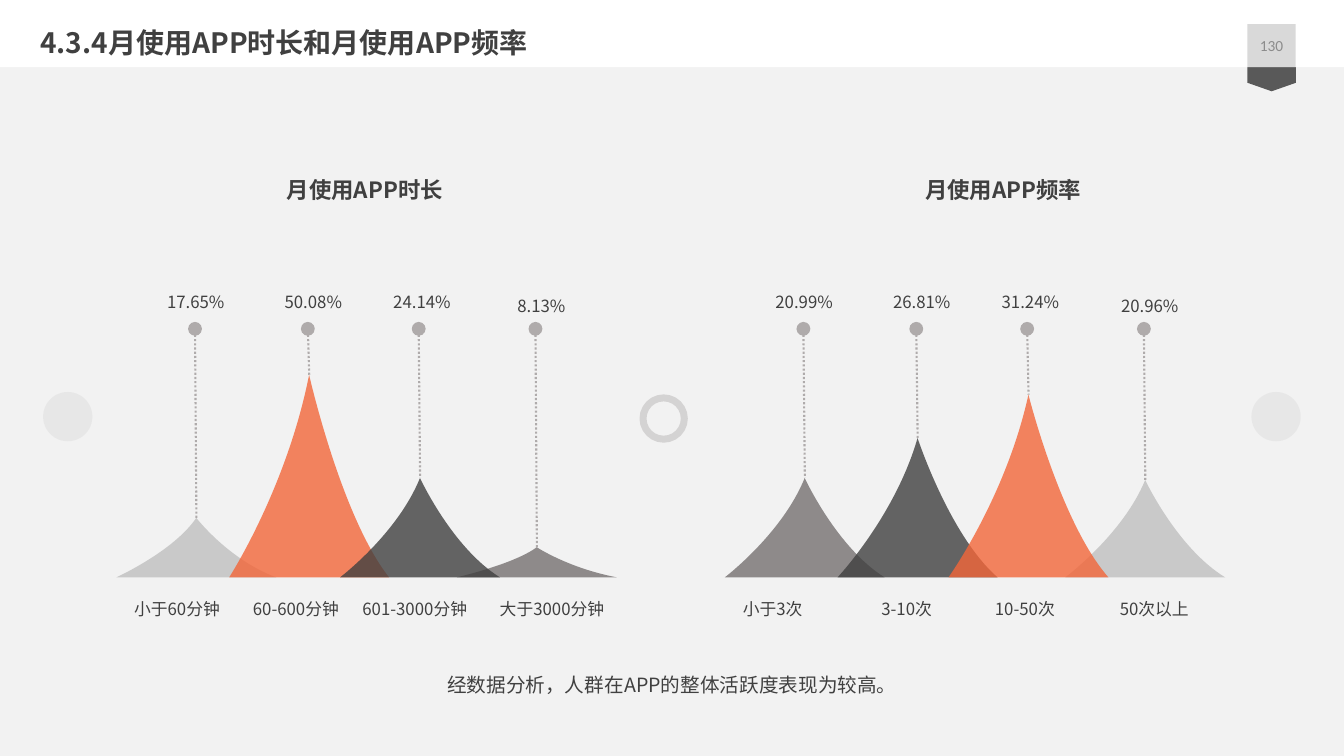
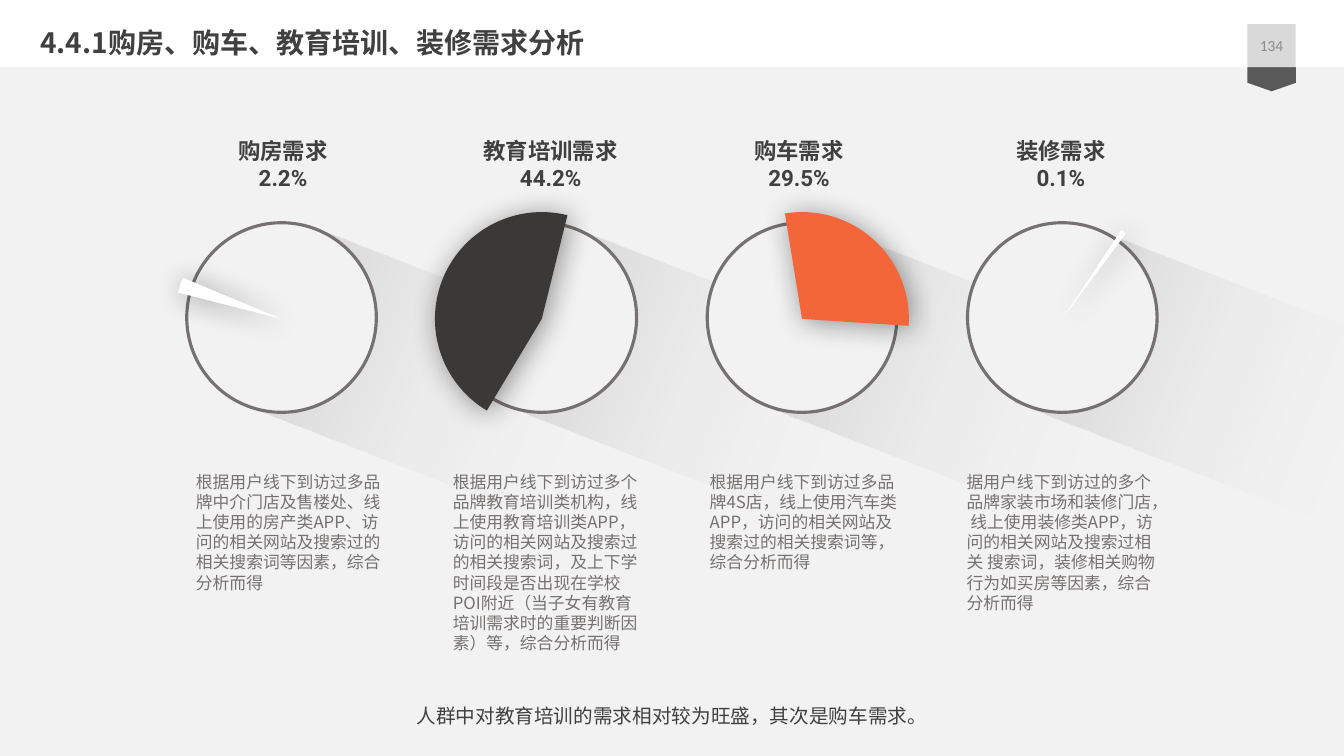
from lxml import etree
from pptx import Presentation
from pptx import util as u
from pptx.dml import color
from pptx.enum import shapes as kinds, text as t, dml
from pptx.oxml import ns

C = {
    "page": "F2F2F2", "white": "FFFFFF", "ink": "404040", "ribbon": "595959",
    "badge": "D9D9D9", "number": "8C8C8C", "disc": "E6E6E6", "ring": "D0CECE",
    "dots": "AFABAB", "light": "BFBFBF", "grey": "767171", "dark": "3B3838",
    "accent": "F36639", "black": "000000",
}
SANS = "Noto Sans CJK SC"
KIND = kinds.MSO_SHAPE
CENTER, LEFT = t.PP_ALIGN.CENTER, t.PP_ALIGN.LEFT
TOP, MIDDLE = t.MSO_ANCHOR.TOP, t.MSO_ANCHOR.MIDDLE
TITLE = {"size": 20, "bold": True}
HEADING = {"size": 16, "bold": True}
SMALL = {"size": 12}
BODY = {"size": 12, "ink": "grey"}
SUMMARY = {"size": 14}
BADGE_BOX = (891, 17.2, 34.56, 30.6)


def rgb(name):
    return color.RGBColor.from_string(C[name])


def pts(*lengths):
    return [u.Pt(length) for length in lengths]


def apply(target, values):
    for key, value in values.items():
        setattr(target, key, value)


def child(parent, tag, **attributes):
    return etree.SubElement(parent, ns.qn(tag), attributes)


def fade(shape, *percents):
    for tint, percent in zip(shape.element.spPr.iter(ns.qn("a:srgbClr")), percents):
        child(tint, "a:alpha", val=str(percent * 1000))


def paint(shape, fill=None, line=None, weight=1):
    shape.shadow.inherit = False
    if fill:
        shape.fill.solid()
        shape.fill.fore_color.rgb = rgb(fill)
    else:
        shape.fill.background()
    if line:
        shape.line.color.rgb = rgb(line)
        shape.line.width = u.Pt(weight)
    else:
        shape.line.fill.background()
    return shape


def draw(slide, kind, box, fill=None, line=None, weight=1):
    return paint(slide.shapes.add_shape(kind, *pts(*box)), fill, line, weight)


def outline(slide, corners):
    start, *rest = [pts(*corner) for corner in corners]
    builder = slide.shapes.build_freeform(*start)
    builder.add_line_segments(rest, close=True)
    return builder.convert_to_shape()


def fill_frame(frame, lines, style, align=LEFT, anchor=TOP, inset=None):
    apply(frame, {"word_wrap": True, "auto_size": t.MSO_AUTO_SIZE.NONE,
                  "vertical_anchor": anchor})
    if inset is not None:
        sides = ("left", "right", "top", "bottom")
        apply(frame, {f"margin_{side}": u.Pt(inset) for side in sides})
    for index, (wording, face) in enumerate(lines):
        paragraph = frame.paragraphs[0] if index == 0 else frame.add_paragraph()
        paragraph.alignment = align
        run = paragraph.add_run()
        run.text = wording
        apply(run.font, {"size": u.Pt(style["size"]), "name": face,
                         "bold": style.get("bold", False)})
        run.font.color.rgb = rgb(style.get("ink", "ink"))
        child(run.font._element, "a:ea", typeface=SANS)


def write(slide, box, wording, style, **options):
    frame = slide.shapes.add_textbox(*pts(*box)).text_frame
    lines = [(wording, SANS)] if isinstance(wording, str) else wording
    fill_frame(frame, lines, style, **options)
    return frame


def shared_bands(slide, master):
    page = draw(slide, KIND.RECTANGLE, (0, 0, 960, 540), "page")
    ribbon = draw(slide, KIND.PENTAGON, (899.7, 39.3, 17.28, 34.56), "ribbon")
    ribbon.rotation = 90
    ribbon.adjustments[0] = 0.35
    band = draw(slide, KIND.RECTANGLE, (0, 0, 960, 48), "white")
    badge = draw(slide, KIND.RECTANGLE, BADGE_BOX, "badge")
    for place, part in enumerate((page, ribbon, band, badge), 2):
        master.shapes.element.insert(place, part.element)


def titled_slide(deck, layout, title, number):
    slide = deck.slides.add_slide(layout)
    heading = slide.shapes.title
    apply(heading, dict(zip(("left", "top", "width", "height"),
                            pts(21.6, 14.8, 816, 31.5))))
    fill_frame(heading.text_frame, [(title, SANS)], TITLE)
    write(slide, BADGE_BOX, [(number, "Calibri")],
          {"size": 11, "ink": "number"}, align=CENTER, anchor=MIDDLE, inset=0)
    return slide


def summary(slide, top, wording):
    frame = write(slide, (0, top, 960, 32), wording, SUMMARY, align=CENTER)
    frame.paragraphs[0].line_spacing = u.Pt(25)


def bend(shape, handles):
    track = shape.element.spPr.find(".//" + ns.qn("a:path"))
    width, height = int(track.get("w")), int(track.get("h"))
    for side, pulls in zip(track.findall(ns.qn("a:lnTo"))[1:], handles):
        curve = etree.Element(ns.qn("a:cubicBezTo"))
        for x, y in pulls:
            child(curve, "a:pt", x=str(round(x * width)), y=str(round(y * height)))
        curve.append(side[0])
        track.replace(side, curve)


def peak(slide, left, base, width, height, fill):
    summit = (0.5, 0)
    corners = ((0, 1), (1, 1), summit, (0, 1))
    hill = outline(slide, [(left + x * width, base - height + y * height)
                           for x, y in corners])
    bend(hill, (((0.7, 0.7), summit), ((0.36, 0.56), (0, 1))))
    fade(paint(hill, fill), 80)


def pin(slide, left, top, bottom):
    stem = slide.shapes.add_connector(
        kinds.MSO_CONNECTOR.STRAIGHT, *pts(left, top, left + 1, bottom))
    stem.line.color.rgb = rgb("dots")
    apply(stem.line, {"width": u.Pt(1.5), "dash_style": dml.MSO_LINE.ROUND_DOT})
    child(stem.line._get_or_add_ln(), "a:headEnd", type="oval", w="lg", len="lg")
    child(stem.element.spPr, "a:effectLst")


def peak_group(slide, left, heading, heading_center, columns):
    base, hill_width = 412.4, 114.2
    hill_lefts = (0, 80.6, 159.8, 243.2)
    value_centers = (56.7, 140.7, 218.3, 303.6)
    value_heights = (16.6, 16.6, 16.6, 22.3)
    write(slide, (left + heading_center - 72, 122.4, 144, 26.6), heading, HEADING,
          align=CENTER)
    for index in (0, 1, 3, 2):
        value, height, fill, label, label_left, label_width = columns[index]
        hill_left = left + hill_lefts[index]
        peak(slide, hill_left, base, hill_width, height, fill)
        pin(slide, hill_left + 56.2, 234.9, base - height)
        write(slide, (left + value_centers[index] - 30, 207.4, 60, value_heights[index]),
              value, SMALL, align=CENTER, anchor=MIDDLE, inset=0)
        write(slide, (left + label_left, 424.1, label_width, 21.6), label, SMALL)


def usage_slide(slide):
    for left in (30.8, 893.9):
        fade(draw(slide, KIND.OVAL, (left, 280, 35.2, 35.2), "disc"), 85)
    fade(draw(slide, KIND.OVAL, (459.3, 284.2, 29.5, 29.5), line="ring", weight=5), 85)
    peak_group(slide, 83.1, "月使用APP时长", 177.5, (
        ("17.65%", 42.5, "light", "小于60分钟", 5.6, 79.2),
        ("50.08%", 144.7, "accent", "60-600分钟", 90.5, 84.2),
        ("24.14%", 71, "ink", "601-3000分钟", 168.7, 105.1),
        ("8.13%", 21.5, "grey", "大于3000分钟", 266.8, 90.7),
    ))
    peak_group(slide, 517.7, "月使用APP频率", 198.7, (
        ("20.99%", 71, "grey", "小于3次", 5.8, 79.2),
        ("26.81%", 99.5, "ink", "3-10次", 104.8, 84.2),
        ("31.24%", 130.5, "accent", "10-50次", 185.9, 71.3),
        ("20.96%", 69.5, "light", "50次以上", 275.1, 67),
    ))
    summary(slide, 468.7, "经数据分析，人群在APP的整体活跃度表现为较高。")


def long_shadow(slide, left, top):
    width, height = 136.1, 438.5
    cast = outline(slide, [(left, top), (left + width, top),
                           (left + width, top + 327.6), (left, top + height)])
    paint(cast)
    cast.fill.gradient()
    cast.fill.gradient_angle = 270
    for stop, tint, position in zip(cast.fill.gradient_stops, ("dark", "page"), (0, 0.55)):
        stop.color.rgb = rgb(tint)
        stop.position = position
    fade(cast, 20, 0)
    cast.rotation = 291.2


def slice_of(slide, box, angles, fill):
    wedge = draw(slide, KIND.PIE, box, fill)
    for index, angle in enumerate(angles):
        wedge.adjustments[index] = angle * 0.6
    effects = wedge.element.spPr.find(ns.qn("a:effectLst"))
    shade = child(effects, "a:outerShdw", blurRad=str(u.Pt(20)), dist=str(u.Pt(3)),
                  dir="2700000", algn="tl", rotWithShape="0")
    tint = child(shade, "a:srgbClr", val=C["black"])
    child(tint, "a:alpha", val="40000")


def needs_slide(slide):
    needs = (
        ("购房需求", "2.2%", 202.2, (194.31, 202.66), "white",
         "根据用户线下到访过多品牌中介门店及售楼处、线上使用的房产类APP、"
         "访问的相关网站及搜索过的相关搜索词等因素，综合分析而得"),
        ("教育培训需求", "44.2%", 393.4, (120.96, 283.91), "dark",
         "根据用户线下到访过多个品牌教育培训类机构，线上使用教育培训类APP，"
         "访问的相关网站及搜索过的相关搜索词，及上下学时间段是否出现在学校POI附近"
         "（当子女有教育培训需求时的重要判断因素）等，综合分析而得"),
        ("购车需求", "29.5%", 570.8, (260.78, 3.71), "accent",
         "根据用户线下到访过多品牌4S店，线上使用汽车类APP，"
         "访问的相关网站及搜索过的相关搜索词等，综合分析而得"),
        ("装修需求", "0.1%", 757.8, (303.58, 306.66), "white",
         "据用户线下到访过的多个品牌家装市场和装修门店， 线上使用装修类APP，"
         "访问的相关网站及搜索过相关 搜索词，装修相关购物行为如买房等因素，综合分析而得"),
    )
    ring_top, ring_size, overhang = 159.1, 135.4, 8.6
    ring_lefts = [133.4 + 185.9 * index for index in range(len(needs))]
    for index in range(len(needs)):
        long_shadow(slide, 330.5 + 185 * index, 84.2)
    for left in ring_lefts:
        draw(slide, KIND.OVAL, (left, ring_top, ring_size, ring_size), "page", "grey", 2.25)
    for index, (name, share, center, angles, fill, reason) in enumerate(needs):
        size = ring_size + 2 * overhang
        slice_of(slide, (ring_lefts[index] - overhang, ring_top - overhang + 1, size, size),
                 angles, fill)
        write(slide, (center - 65, 94.3, 130, 46.1), [(name, SANS), (share, "Roboto")],
              HEADING, align=CENTER)
        write(slide, (132.9 + 183.5 * index, 333.2, 153.4, 138), reason, BODY)
    summary(slide, 491, "人群中对教育培训的需求相对较为旺盛，其次是购车需求。")


def main():
    deck = Presentation()
    apply(deck, {"slide_width": u.Pt(960), "slide_height": u.Pt(540)})
    layout = deck.slide_layouts[5]
    usage = titled_slide(deck, layout, "4.3.4月使用APP时长和月使用APP频率", "130")
    shared_bands(usage, deck.slide_master)
    usage_slide(usage)
    needs = titled_slide(deck, layout, "4.4.1购房、购车、教育培训、装修需求分析", "134")
    needs_slide(needs)
    deck.save("out.pptx")


if __name__ == "__main__":
    main()
